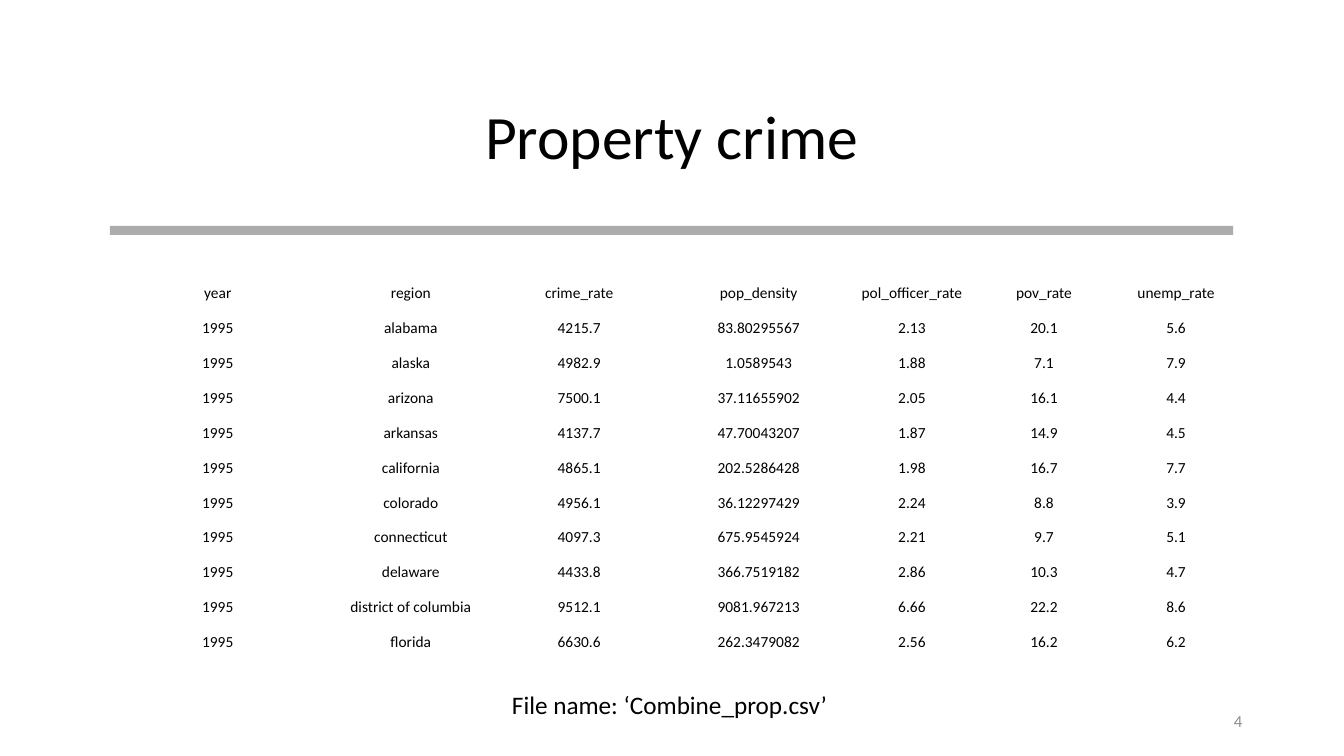
from lxml import etree
from pptx import Presentation
from pptx.dml.color import RGBColor
from pptx.enum import shapes, text
from pptx.oxml import ns
from pptx.util import Inches, Pt

BLACK = RGBColor(0x00, 0x00, 0x00)
RULE_GRAY = RGBColor(0x80, 0x80, 0x80)
NUMBER_GRAY = RGBColor(0x8C, 0x8C, 0x8C)
FONT = "Calibri"

COLUMN_WIDTHS = [2.14, 1.69, 1.65, 1.91, 1.13, 1.49, 1.13]
TABLE_HEIGHT = 3.81
YEAR = "1995"
HEADERS = ["year", "region", "crime_rate", "pop_density",
           "pol_officer_rate", "pov_rate", "unemp_rate"]
STATES = [
    ["alabama", "4215.7", "83.80295567", "2.13", "20.1", "5.6"],
    ["alaska", "4982.9", "1.0589543", "1.88", "7.1", "7.9"],
    ["arizona", "7500.1", "37.11655902", "2.05", "16.1", "4.4"],
    ["arkansas", "4137.7", "47.70043207", "1.87", "14.9", "4.5"],
    ["california", "4865.1", "202.5286428", "1.98", "16.7", "7.7"],
    ["colorado", "4956.1", "36.12297429", "2.24", "8.8", "3.9"],
    ["connecticut", "4097.3", "675.9545924", "2.21", "9.7", "5.1"],
    ["delaware", "4433.8", "366.7519182", "2.86", "10.3", "4.7"],
    ["district of columbia", "9512.1", "9081.967213", "6.66", "22.2", "8.6"],
    ["florida", "6630.6", "262.3479082", "2.56", "16.2", "6.2"],
]


def write(frame, words, size, color=BLACK, align=text.PP_ALIGN.LEFT):
    paragraph = frame.paragraphs[0]
    paragraph.alignment = align
    run = paragraph.add_run()
    run.text = words
    run.font.name = FONT
    run.font.size = Pt(size)
    run.font.bold = False
    run.font.color.rgb = color
    return paragraph


presentation = Presentation()
presentation.slide_width = Inches(13.33)
presentation.slide_height = Inches(7.5)
slide = presentation.slides.add_slide(presentation.slide_layouts[5])

# Title
title = slide.shapes.title
title.left, title.top = Inches(0.95), Inches(0.66)
title.width, title.height = Inches(11.43), Inches(1.45)
title.text_frame.vertical_anchor = text.MSO_ANCHOR.MIDDLE
heading = write(title.text_frame, "Property crime", 44, align=text.PP_ALIGN.CENTER)
heading.line_spacing = 0.9

# Translucent rule under the title
rule = slide.shapes.add_shape(shapes.MSO_SHAPE.RECTANGLE, Inches(1.09),
                              Inches(2.24), Inches(11.14), Inches(0.09))
rule.shadow.inherit = False
rule.line.fill.background()
rule.fill.solid()
rule.fill.fore_color.rgb = RULE_GRAY
rule_color = rule.fill._xPr.find(".//" + ns.qn("a:srgbClr"))
etree.SubElement(rule_color, ns.qn("a:alpha"), val="65000")

# Crime table
rows = [HEADERS] + [[YEAR] + state for state in STATES]
table = slide.shapes.add_table(len(rows), len(HEADERS), Inches(1.09), Inches(2.66),
                               Inches(sum(COLUMN_WIDTHS)), Inches(TABLE_HEIGHT)).table
table.first_row = False
table.horz_banding = False
for column, width in zip(table.columns, COLUMN_WIDTHS):
    column.width = Inches(width)
for row, values in zip(table.rows, rows):
    row.height = Inches(TABLE_HEIGHT / len(rows))
    for cell, value in zip(row.cells, values):
        cell.fill.background()
        cell.margin_left = cell.margin_right = cell.margin_top = Inches(0.01)
        cell.margin_bottom = 0
        cell.vertical_anchor = text.MSO_ANCHOR.BOTTOM
        write(cell.text_frame, value, 11, align=text.PP_ALIGN.CENTER)

# File name
file_name = slide.shapes.add_textbox(Inches(4.98), Inches(6.79), Inches(3.37), Inches(0.4))
file_name.text_frame.word_wrap = False
file_name.text_frame.auto_size = text.MSO_AUTO_SIZE.SHAPE_TO_FIT_TEXT
write(file_name.text_frame, "File name: ‘Combine_prop.csv’", 18)

# Slide number
number = slide.shapes.add_textbox(Inches(9.42), Inches(6.95), Inches(3), Inches(0.4))
number.text_frame.word_wrap = True
number.text_frame.vertical_anchor = text.MSO_ANCHOR.MIDDLE
write(number.text_frame, "4", 12, NUMBER_GRAY, text.PP_ALIGN.RIGHT)

presentation.save("out.pptx")
